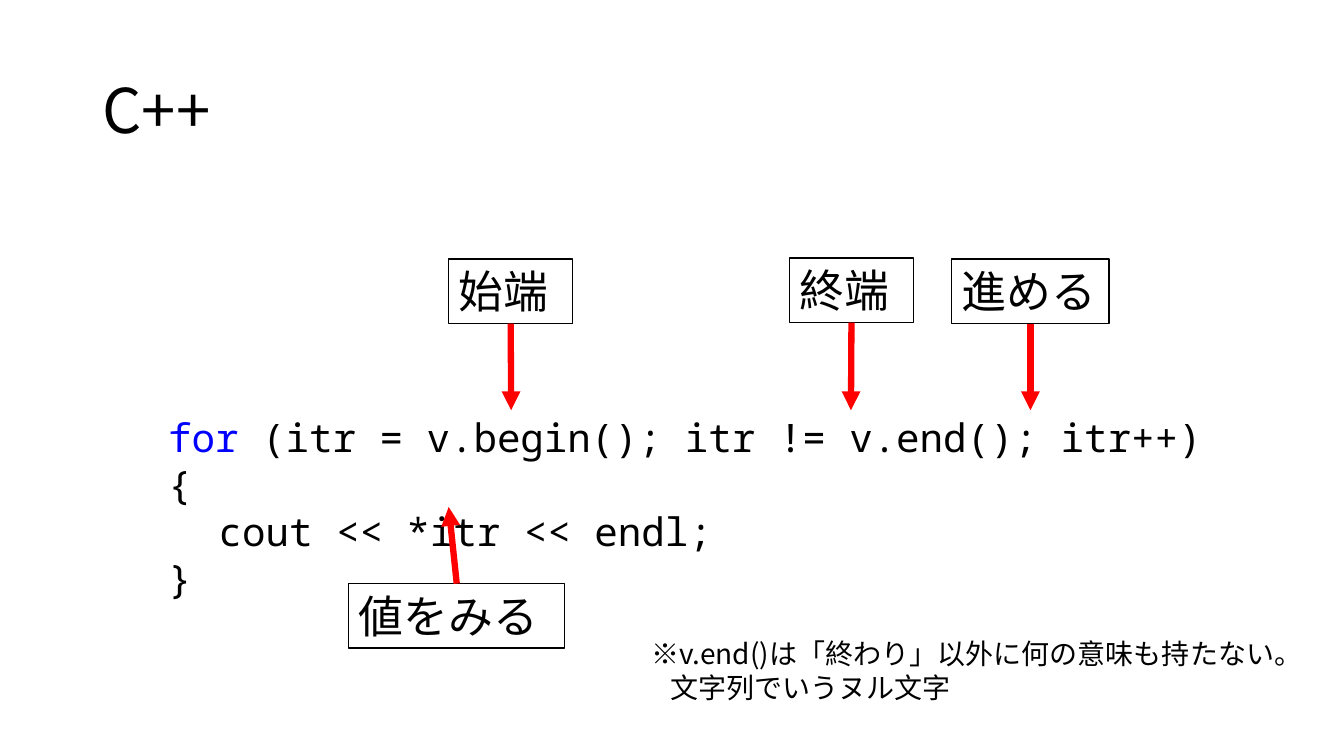
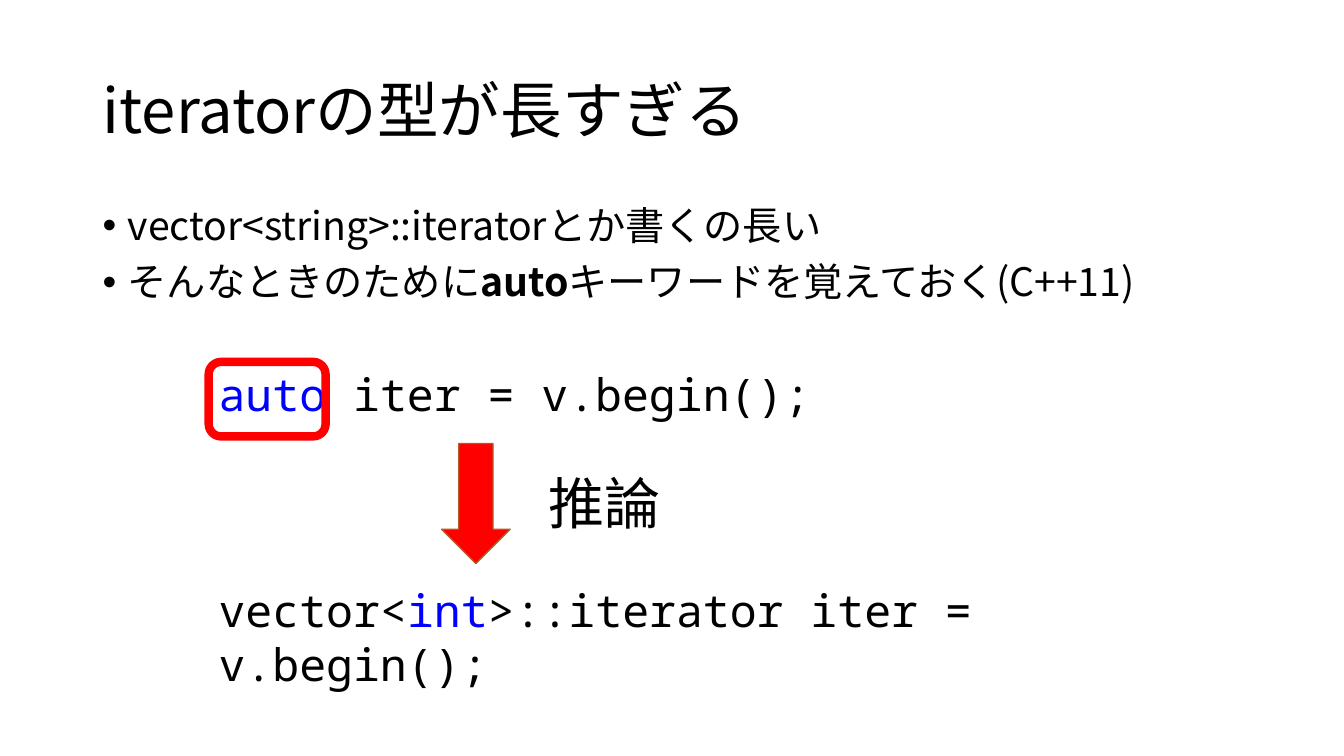
from dataclasses import dataclass

from lxml.etree import SubElement
from pptx import Presentation
from pptx.dml.color import RGBColor
from pptx.enum.shapes import MSO_CONNECTOR, MSO_SHAPE
from pptx.enum.text import MSO_ANCHOR
from pptx.oxml.ns import qn
from pptx.util import Pt

PX = 9144


@dataclass(frozen=True)
class Theme:
    sans: str = "Noto Sans CJK JP"
    mono: str = "Noto Sans Mono"
    ink: str = "000000"
    paper: str = "FFFFFF"
    keyword: str = "0000FF"
    accent: str = "FF0000"
    arrow_edge: str = "AF5C24"
    title: int = 44
    caption: int = 40
    large: int = 32
    body: int = 28
    note: int = 20
    tight: float = 0.9


T = Theme()
KEY = {"color": T.keyword}
BOLD = {"bold": True}

LOOP_TITLE = "C++"
LOOP_CODE = [
    (50, [("for", KEY), (" (itr = v.begin(); itr != v.end(); itr++) {", {})]),
    (100, [("cout << *itr << endl;", {})]),
    (50, [("}", {})]),
]
LOOP_LABELS = [
    ("始端", (445, 257, 123, 64), (507, 407)),
    ("終端", (783, 256, 123, 64), (844, 407)),
    ("進める", (944, 257, 156, 64), (1022, 407)),
    ("値をみる", (346, 579, 214, 64), (445, 503)),
]
LOOP_NOTE = [
    (0, [("※v.end()は「終わり」以外に何の意味も持たない。", {})]),
    (19, [("文字列でいうヌル文字", {})]),
]

AUTO_TITLE = "iteratorの型が長すぎる"
AUTO_BULLETS = [
    (25, [("vector<string>::iteratorとか書くの長い", {})]),
    (25, [("そんなときのために", {}), ("auto", BOLD),
          ("キーワードを覚えておく(C++11)", {})]),
]
AUTO_CODE = [
    (359, [("auto ", KEY), ("iter = v.begin();", {})]),
    (573, [("vector<", {}), ("int", KEY), (">::iterator iter = v.begin();", {})]),
]
AUTO_CAPTION = "推論"


def px(*lengths):
    return [round(n * PX) for n in lengths]


def rgb(value):
    return RGBColor.from_string(value)


def outline(sp, color, width):
    sp.line.color.rgb = rgb(color)
    sp.line.width = Pt(width)


def style_run(r, size, font, color=T.ink, bold=False):
    r.font.size = Pt(size)
    r.font.name = font
    r.font.bold = bold
    r.font.color.rgb = rgb(color)
    SubElement(r.font._element, qn("a:ea"), typeface=font)


def add_text(s, box, paragraphs, size, font=T.sans, wrap=True, spacing=None,
             anchor=MSO_ANCHOR.TOP, bullet=False):
    sp = s.shapes.add_textbox(*px(*box))
    tf = sp.text_frame
    tf.word_wrap = wrap
    tf.vertical_anchor = anchor
    for i, (indent, runs) in enumerate(paragraphs):
        p = tf.add_paragraph() if i else tf.paragraphs[0]
        if spacing:
            p.line_spacing = spacing
        pPr = p._p.get_or_add_pPr()
        pPr.set("marL", str(indent * PX))
        if bullet:
            p.space_before = Pt(10)
            pPr.set("indent", str(-indent * PX))
            SubElement(pPr, qn("a:buFont"), typeface="Arial")
            SubElement(pPr, qn("a:buChar"), char="•")
        for text, style in runs:
            r = p.add_run()
            r.text = text
            style_run(r, size, font, **style)
    return sp


def plain(text):
    return [(0, [(text, {})])]


def add_arrow(s, start, end):
    line = s.shapes.add_connector(MSO_CONNECTOR.STRAIGHT, *px(*start, *end))
    outline(line, T.accent, 4.5)
    SubElement(line.line._get_or_add_ln(), qn("a:tailEnd"), type="triangle")
    SubElement(line._element.spPr, qn("a:effectLst"))


def add_label(s, text, box, tip):
    sp = add_text(s, box, plain(text), T.large)
    sp.fill.solid()
    sp.fill.fore_color.rgb = rgb(T.paper)
    outline(sp, T.ink, 1)
    x, y, w, h = box
    edge = y + h if tip[1] > y else y
    add_arrow(s, (x + w / 2, edge), tip)


def add_slide(prs, title):
    s = prs.slides.add_slide(prs.slide_layouts[6])
    add_text(s, (92, 40, 1150, 145), plain(title), T.title,
             spacing=T.tight, anchor=MSO_ANCHOR.MIDDLE)
    return s


def add_mark(s, kind, box, color, width, fill=None):
    sp = s.shapes.add_shape(kind, *px(*box))
    sp.shadow.inherit = False
    outline(sp, color, width)
    if fill:
        sp.fill.solid()
        sp.fill.fore_color.rgb = rgb(fill)
    else:
        sp.fill.background()


def build_loop(prs):
    s = add_slide(prs, LOOP_TITLE)
    add_text(s, (107, 405, 1119, 151), LOOP_CODE, T.body, T.mono)
    for label in LOOP_LABELS:
        add_label(s, *label)
    add_text(s, (636, 627, 672, 77), LOOP_NOTE, T.note, wrap=False)


def build_auto(prs):
    s = add_slide(prs, AUTO_TITLE)
    add_text(s, (92, 200, 1150, 476), AUTO_BULLETS, T.body,
             spacing=T.tight, bullet=True)
    for top, runs in AUTO_CODE:
        add_text(s, (207, top, 1034, 64), [(0, runs)], T.large, T.mono)
    add_mark(s, MSO_SHAPE.DOWN_ARROW, (438, 440, 68, 119), T.arrow_edge, 1, T.accent)
    add_mark(s, MSO_SHAPE.ROUNDED_RECTANGLE, (207, 359, 116, 74), T.accent, 6)
    add_text(s, (534, 460, 132, 77), plain(AUTO_CAPTION), T.caption, wrap=False)


def main():
    prs = Presentation()
    prs.slide_width, prs.slide_height = px(1333, 750)
    build_loop(prs)
    build_auto(prs)
    prs.save("out.pptx")


if __name__ == "__main__":
    main()
